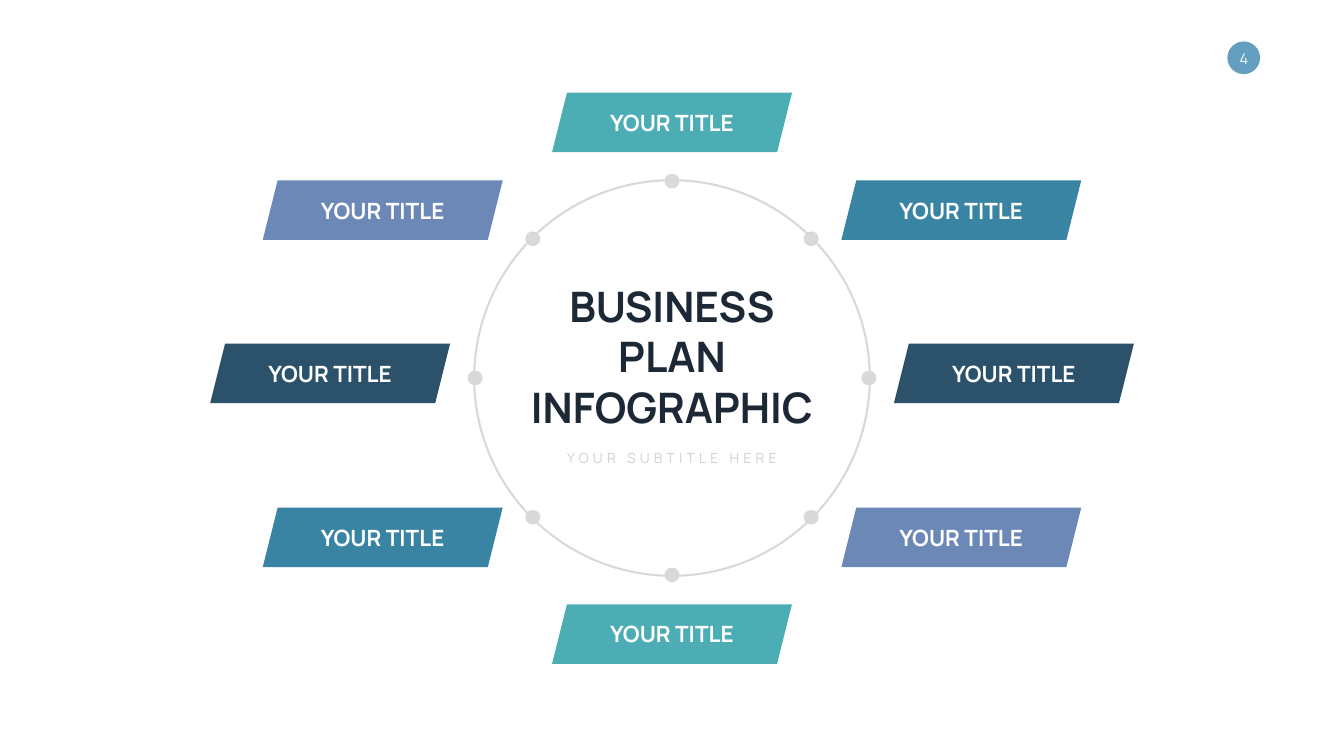
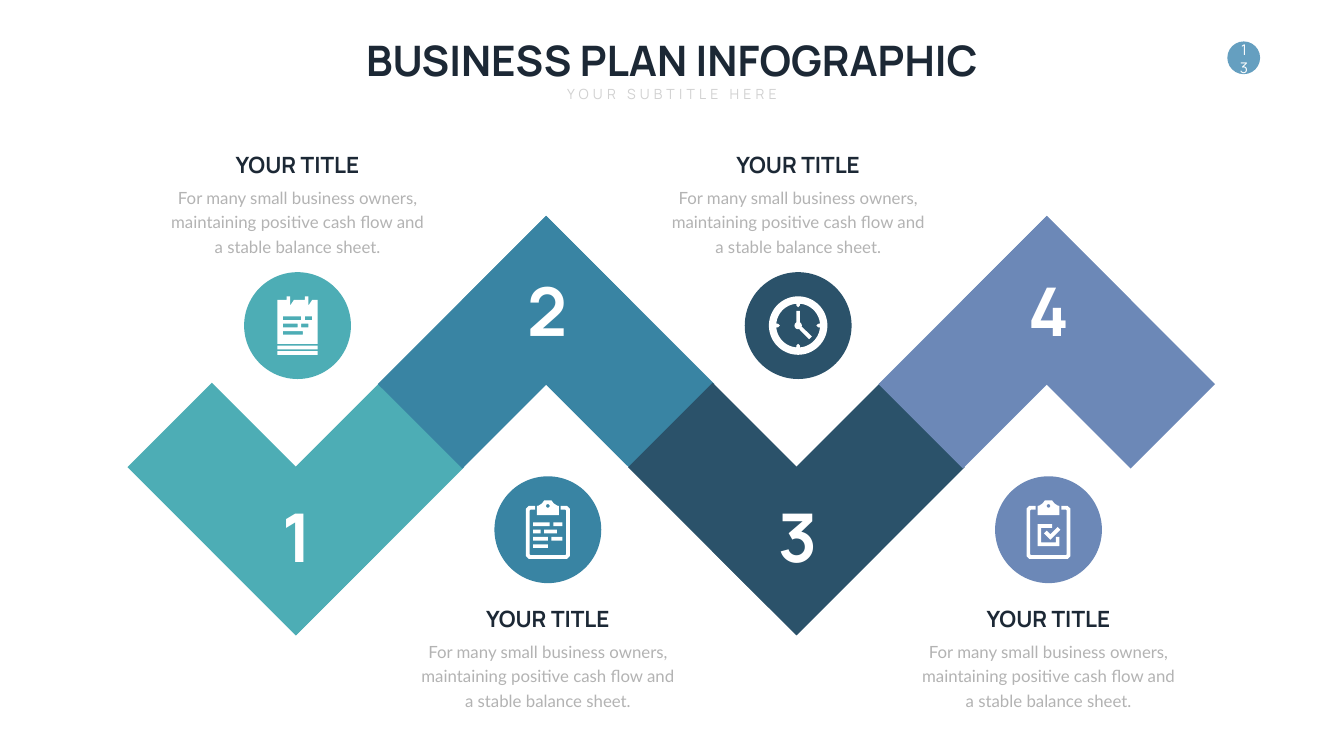
from math import cos, radians, sin

from pptx import Presentation
from pptx.dml.color import RGBColor
from pptx.enum.shapes import MSO_SHAPE as Form
from pptx.enum.text import MSO_ANCHOR as Anchor, MSO_AUTO_SIZE as Auto, PP_ALIGN as Align
from pptx.util import Inches, Pt

COLS, ROWS = 80, 45
MID = COLS / 2
TEAL, BLUE, NAVY, LILAC = "4DADB5", "3984A3", "2B526A", "6C88B7"
SKY, INK, WHITE = "659FC0", "1C2835", "FFFFFF"
RING, PALE, GREY = "D9D9D9", "D1D1D1", "B3B3B3"
TITLE = "BUSINESS PLAN INFOGRAPHIC"
SUB = "YOUR SUBTITLE HERE"
HEAD = "YOUR TITLE"
BODY = "For many small business owners, maintaining positive cash flow and a stable balance sheet."


def tint(code):
    return RGBColor.from_string(code)


class Deck:
    """Slides on a grid of 80 by 45 cells; each element is placed by its centre."""

    def __init__(self):
        self.prs = Presentation()
        self.prs.slide_width, self.prs.slide_height = Inches(26.66), Inches(15)
        self.col = self.prs.slide_width / COLS
        self.row = self.prs.slide_height / ROWS

    def start(self, number):
        """Add a blank slide with its page badge."""
        page = self.prs.slides.add_slide(self.prs.slide_layouts[6])
        page.background.fill.solid()
        page.background.fill.fore_color.rgb = tint(WHITE)
        self.shapes = page.shapes
        self.shape(Form.OVAL, 74.03, 3.44, 1.95, 1.95, SKY)
        disc = self.shape(Form.OVAL, 74.04, 3.48, 1.92, 1.92)
        self.letter(disc, str(number), 21, WHITE)

    def box(self, x, y, w, h):
        """Left, top, width and height of a box centred on x, y."""
        return (round((x - w / 2) * self.col), round((y - h / 2) * self.row),
                round(w * self.col), round(h * self.row))

    def paint(self, item, fill=None, line=None):
        item.shadow.inherit = False
        if fill:
            item.fill.solid()
            item.fill.fore_color.rgb = tint(fill)
        else:
            item.fill.background()
        if line:
            item.line.color.rgb = tint(line)
            item.line.width = Pt(3)
        else:
            item.line.fill.background()

    def shape(self, form, x, y, w, h, fill=None, line=None, turn=0):
        item = self.shapes.add_shape(form, *self.box(x, y, w, h))
        item.rotation = turn
        self.paint(item, fill, line)
        return item

    def letter(self, item, text, size, color, bold=False, face="Manrope",
               wrap=False, anchor=Anchor.MIDDLE, lead=None, space=0):
        """Fill an item with one centred paragraph."""
        frame = item.text_frame
        frame.word_wrap, frame.auto_size = wrap, Auto.SHAPE_TO_FIT_TEXT
        frame.vertical_anchor = anchor
        para = frame.paragraphs[0]
        para.text, para.alignment = text, Align.CENTER
        if lead:
            para.line_spacing = Pt(lead)
        font = para.font
        font.name, font.size, font.bold = face, Pt(size), bold
        font.color.rgb = tint(color)
        if space:
            para.runs[0].font._rPr.set("spc", str(space * 100))

    def label(self, text, x, y, w, h, size, color, **style):
        item = self.shapes.add_textbox(*self.box(x, y, w, h))
        self.letter(item, text, size, color, **style)

    def title(self, y, w, h, **style):
        self.label(TITLE, MID, y, w, h, 60, INK, bold=True, **style)

    def subtitle(self, y):
        self.label(SUB, MID, y, 13.29, 1.32, 20, PALE, anchor=Anchor.TOP, space=6)

    def head(self, x, y, color, **style):
        self.label(HEAD, x, y, 8.04, 1.92, 32, color, bold=True, **style)

    def icon(self, loops, x, y, wide):
        """Draw closed loops, given on a lattice 16 units high, as one outline."""
        unit = 3.48 / 16

        def place(loop):
            return [(round((x + (a - wide / 2) * unit) * self.col),
                     round((y + (b - 8) * unit) * self.row)) for a, b in loop]

        first, *rest = map(place, loops)
        pen = self.shapes.build_freeform(*first[0])
        pen.add_line_segments(first[1:])
        for loop in rest:
            pen.move_to(*loop[0])
            pen.add_line_segments(loop[1:])
        self.paint(pen.convert_to_shape(), WHITE)


def bar(x, y, end, high=1):
    return [(x, y), (end, y), (end, y + high), (x, y + high)]


def arc(x, y, r, start=0, stop=360, step=5):
    return [(x + r * cos(radians(a)), y + r * sin(radians(a)))
            for a in range(start, stop, step)]


def notepad():
    sheet = [(2.5, 0), (3.5, 0), (3.5, 2.5), (4.5, 1), (7.5, 1), (7.5, 0), (8.5, 0),
             (8.5, 2.5), (9.5, 1), (11, 1), (11, 13), (0, 13), (0, 1), (2.5, 1)]
    return [sheet, bar(0, 15, 11), bar(0, 13.5, 11), bar(1.5, 9.5, 7),
            bar(1.5, 7.5, 5.5), bar(6.5, 7.5, 8.5), bar(1.5, 5.5, 6.5), bar(7.5, 5.5, 9.5)]


def clock():
    face = []
    for a in range(0, 360, 90):
        face += (arc(8, 8, 5.5, a - 5, a - 4) + arc(8, 8, 5, a, a + 1)
                 + arc(8, 8, 5.5, a + 5, a + 6) + arc(8, 8, 6, a + 5, a + 86))
    hands = ([(7.5, 4), (8.5, 4)] + arc(8, 8, 1, -60, 16, 15)
             + [(11.75, 11), (11, 11.75)] + arc(8, 8, 1, 75, 241, 15))
    return [arc(8, 8, 8), face, hands]


def board(*marks):
    """A clipboard that carries the given marks."""
    edge = [(0.75, 1.5), (2.5, 1.5), (2.5, 2.5), (1.25, 2.5), (1, 2.75), (1, 14.75),
            (1.25, 15), (10.75, 15), (11, 14.75), (11, 2.75), (10.75, 2.5), (9.5, 2.5),
            (9.5, 1.5), (11.25, 1.5), (12, 2.25), (12, 15.25), (11.25, 16), (0.75, 16),
            (0, 15.25), (0, 2.25)]
    clip = [(5, 0), (7, 0), (7.6, 0.8), (8.5, 1.4), (9, 1.5), (9, 4), (3, 4),
            (3, 1.5), (3.5, 1.4), (4.4, 0.8)]
    return [edge, clip, arc(6, 1.5, 0.5, step=20), *marks]


def wheel(deck):
    deck.start(4)
    banners = [(0, 7.29, TEAL), (17.22, 12.51, BLUE), (-17.22, 12.51, LILAC),
               (-17.22, 31.99, BLUE), (0, 37.74, TEAL), (17.22, 31.99, LILAC),
               (-20.35, 22.23, NAVY), (20.35, 22.23, NAVY)]
    for dx, y, color in banners:
        deck.shape(Form.PARALLELOGRAM, MID + dx, y, 14.28, 3.54, color)
    deck.shape(Form.OVAL, MID, 22.5, 23.55, 23.55, line=RING)
    for x, y in arc(MID, 22.5, 11.72, step=45):
        deck.shape(Form.OVAL, x, y, 0.9, 0.88, RING)
    for dx, y, _ in banners:
        deck.head(MID + dx, y, WHITE)
    deck.title(21.2, 18.63, 9.39, wrap=True)
    deck.subtitle(27.27)


def zigzag(deck):
    deck.start(13)
    lines = board(bar(2, 12, 6), bar(7, 10, 10), bar(2, 10, 6), bar(5, 8, 8.5),
                  bar(2, 8, 4), bar(7.5, 6, 10), bar(2, 6, 6.5))
    tick = [(8.5, 7.25), (9.25, 8), (6.5, 10.75), (4.75, 9), (5.5, 8.25), (6.5, 9.25)]
    frame = [(3, 6.5), (7, 6.5), (7, 7.5), (4, 7.5), (4, 11.5), (8, 11.5), (8, 10),
             (9, 10), (9, 12.5), (3, 12.5)]
    steps = [(TEAL, notepad(), 11), (BLUE, lines, 12),
             (NAVY, clock(), 16), (LILAC, board(tick, frame), 12)]
    # Rows of the arms, disc, number, heading and body: valley, then peak
    levels = [(30.3, 19.38, 31.86, 9.78, 13.02), (20.37, 31.53, 18.45, 36.81, 40.05)]
    for i, (color, loops, wide) in enumerate(steps):
        x = 17.61 + 14.9 * i
        arms, disc, digit, head, body = levels[i % 2]
        lean = 45 if i % 2 else 315
        for dx, turn in ((-2.5, lean), (2.5, 360 - lean)):
            deck.shape(Form.RECTANGLE, x + dx, arms, 7.11, 14.16, color, turn=turn)
        x += 0.1
        deck.shape(Form.OVAL, x, disc, 6.36, 6.36, color)
        deck.icon(loops, x, disc, wide)
        deck.label(str(i + 1), x, digit, 3, 5.16, 96, WHITE, bold=True)
        deck.head(x, head, INK, anchor=Anchor.TOP)
        deck.label(BODY, x, body, 15.69, 4.56, 24, GREY, face="Lato",
                   wrap=True, anchor=Anchor.TOP, lead=35)
    deck.title(3.59, 37.86, 3.33, anchor=Anchor.TOP)
    deck.subtitle(5.58)


def main():
    deck = Deck()
    wheel(deck)
    zigzag(deck)
    deck.prs.save("out.pptx")


if __name__ == "__main__":
    main()
